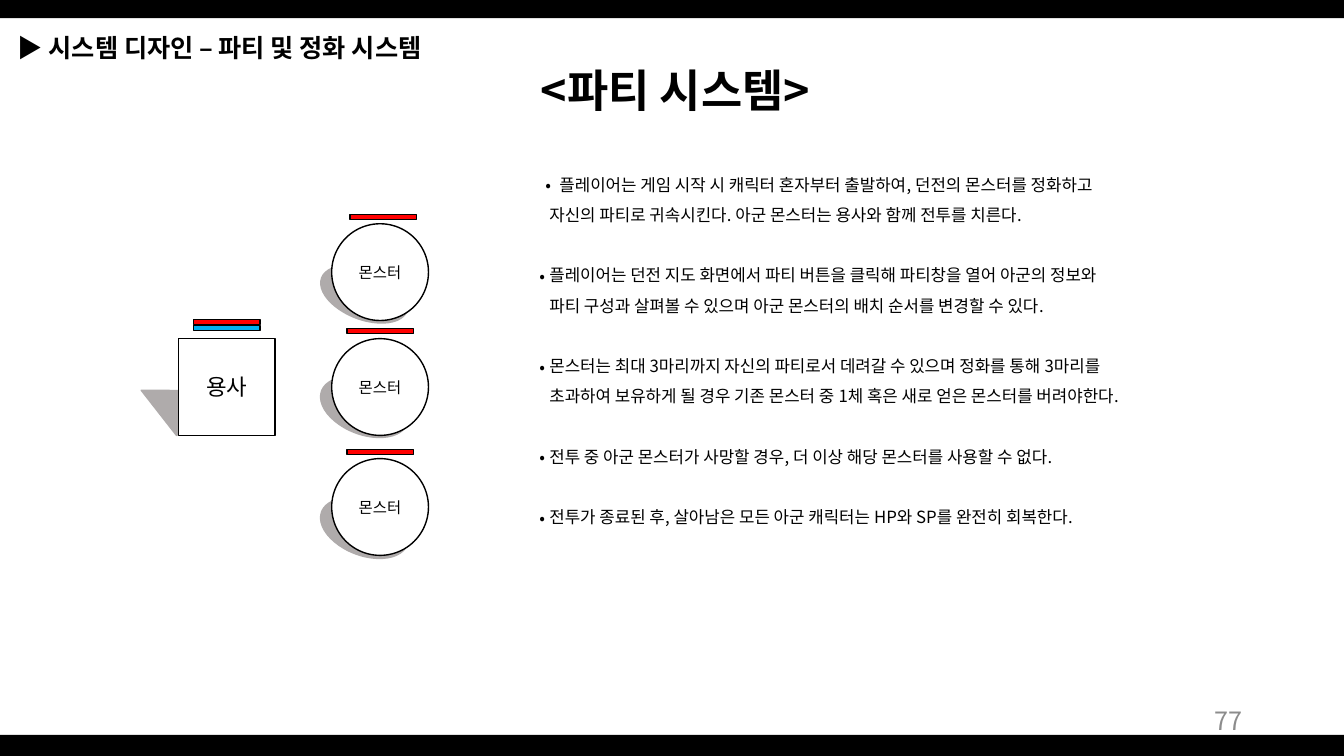
"""Build the party system slide."""
from lxml import etree
from pptx import Presentation
from pptx.dml.color import RGBColor
from pptx.enum.shapes import MSO_SHAPE
from pptx.enum.text import MSO_ANCHOR, PP_ALIGN
from pptx.oxml.ns import qn
from pptx.util import Inches, Pt

FONT = "Noto Sans CJK KR"
RECT, OVAL, WEDGE = MSO_SHAPE.RECTANGLE, MSO_SHAPE.OVAL, MSO_SHAPE.ISOSCELES_TRIANGLE
LEFT, MID, RIGHT = PP_ALIGN.LEFT, PP_ALIGN.CENTER, PP_ALIGN.RIGHT
CENTER = MSO_ANCHOR.MIDDLE
BLACK, WHITE, GRAY, RED, BLUE = "000000", "FFFFFF", "AFABAB", "FF0000", "00B0F0"

deck = Presentation()
deck.slide_width, deck.slide_height = Inches(13.33), Inches(7.5)
slide = deck.slides.add_slide(deck.slide_layouts[6])


def draw(kind, box, fill, line=None, turn=0):
    shape = slide.shapes.add_shape(kind, *map(Inches, box))
    shape.shadow.inherit = False
    shape.rotation = turn
    shape.fill.solid()
    shape.fill.fore_color.rgb = RGBColor.from_string(fill)
    if line:
        shape.line.color.rgb = RGBColor.from_string(line)
        shape.line.width = Pt(1)
    else:
        shape.line.fill.background()
    return shape


def write(para, text, size, color=BLACK, bold=False, space=0):
    run = para.add_run()
    run.text = text
    font = run.font
    font.name, font.size, font.bold = FONT, Pt(size), bold
    font.color.rgb = RGBColor.from_string(color)
    props = run._r.get_or_add_rPr()
    props.set("spc", str(space * 100))
    etree.SubElement(props, qn("a:ea")).set("typeface", FONT)


for top, high in [(7.29, 0.22), (0, 0.18)]:
    draw(RECT, (0, top, 13.33, high), BLACK)

labels = [
    ((3.29, 0.57, 6.82, 0.64), MID, 32, BLACK,
     [("<", True, -3), ("파티 시스템", True, 0), (">", True, -3)]),
    ((9.42, 6.95, 3, 0.4), RIGHT, 18, "8C8C8C", [("77", False, 0)]),
    ((0.08, 0.27, 6.87, 0.4), LEFT, 18, BLACK,
     [("▶ ", False, 0), ("시스템 디자인 – 파티 및 정화 시스템", True, 0)]),
]
for box, align, size, color, runs in labels:
    frame = slide.shapes.add_textbox(*map(Inches, box)).text_frame
    frame.word_wrap = True
    frame.vertical_anchor = CENTER
    para = frame.paragraphs[0]
    para.alignment = align
    for text, bold, space in runs:
        write(para, text, size, color, bold, space)

rules = [
    ["플레이어는 게임 시작 시 캐릭터 혼자부터 출발하여, 던전의 몬스터를 정화하고",
     "자신의 파티로 귀속시킨다. 아군 몬스터는 용사와 함께 전투를 치른다."],
    ["플레이어는 던전 지도 화면에서 파티 버튼을 클릭해 파티창을 열어 아군의 정보와",
     "파티 구성과 살펴볼 수 있으며 아군 몬스터의 배치 순서를 변경할 수 있다."],
    ["몬스터는 최대 3마리까지 자신의 파티로서 데려갈 수 있으며 정화를 통해 3마리를",
     "초과하여 보유하게 될 경우 기존 몬스터 중 1체 혹은 새로 얻은 몬스터를 버려야한다."],
    ["전투 중 아군 몬스터가 사망할 경우, 더 이상 해당 몬스터를 사용할 수 없다."],
    ["전투가 종료된 후, 살아남은 모든 아군 캐릭터는 HP와 SP를 완전히 회복한다."],
]
frame = slide.shapes.add_textbox(*map(Inches, (5.25, 1.58, 6.72, 3.74))).text_frame
frame.word_wrap = True
for item, rule in enumerate(rules):
    for row, text in enumerate(rule):
        first = item == row == 0
        para = frame.paragraphs[0] if first else frame.add_paragraph()
        para.line_spacing = 1.5
        props = para._p.get_or_add_pPr()
        props.set("marL", str(Inches(0.2 if first else 0.1)))
        if row == 0:
            para.space_before = Pt(21.6 if item else 0)
            props.set("indent", str(Inches(-0.14 if first else -0.1)))
            etree.SubElement(props, qn("a:buFont")).set("typeface", FONT)
            etree.SubElement(props, qn("a:buChar")).set("char", "•")
        write(para, text, 12)

wedge = draw(WEDGE, (1.5, 3.59, 0.72, 0.57), GRAY, GRAY, 322)
wedge.adjustments[0] = 0
for top, high in [(2.67, 0.5), (3.77, 0.54), (4.97, 0.54)]:
    draw(OVAL, (3.16, top, 0.91, high), GRAY, GRAY, 21.1)

units = [(OVAL, 3.29, top, "몬스터", 11) for top in (2.22, 3.36, 4.55)]
units.append((RECT, 1.77, 3.36, "용사", 16))
for kind, left, top, name, size in units:
    frame = draw(kind, (left, top, 0.96, 0.96), WHITE, BLACK).text_frame
    frame.vertical_anchor = CENTER
    para = frame.paragraphs[0]
    para.alignment = MID
    write(para, name, size)

gauges = [(3.47, 2.13, RED), (1.92, 3.17, RED), (3.44, 3.26, RED),
          (3.44, 4.46, RED), (1.92, 3.23, BLUE)]
for left, top, fill in gauges:
    draw(RECT, (left, top, 0.66, 0.05), fill, BLACK)

deck.save("out.pptx")
